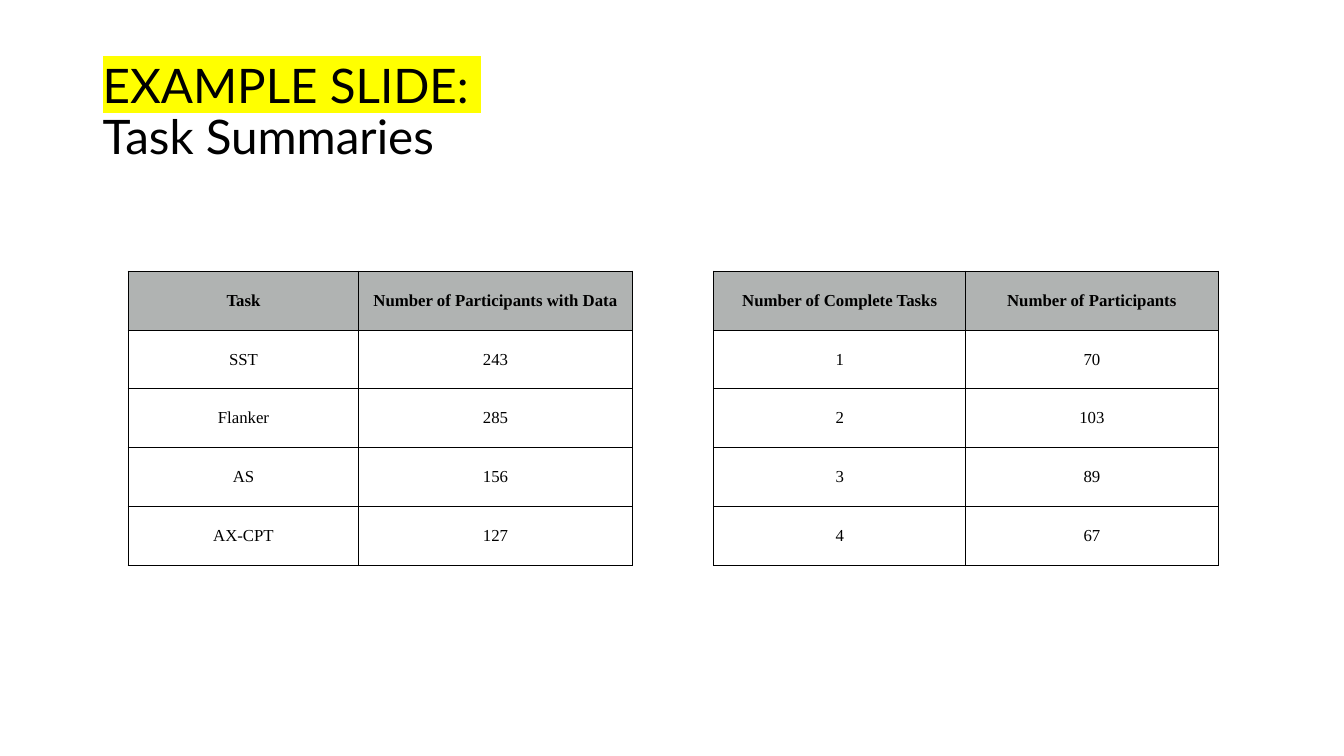
from lxml.etree import SubElement
from pptx import Presentation
from pptx.dml.color import RGBColor
from pptx.enum.text import MSO_ANCHOR, PP_ALIGN
from pptx.oxml.ns import qn
from pptx.util import Inches, Pt

BLACK, GREY, WHITE, YELLOW = "000000", "B0B3B2", "FFFFFF", "FFFF00"
TABLE_TOP, TABLE_WIDTH, TABLE_HEIGHT = 2.69, 5, 2.92

TASK_COUNTS = [
    ("Task", "Number of Participants with Data"),
    ("SST", "243"),
    ("Flanker", "285"),
    ("AS", "156"),
    ("AX-CPT", "127"),
]
COMPLETION_COUNTS = [
    ("Number of Complete Tasks", "Number of Participants"),
    ("1", "70"),
    ("2", "103"),
    ("3", "89"),
    ("4", "67"),
]


def color(hex_value):
    return RGBColor.from_string(hex_value)


def style_font(font, name, size, bold=False):
    font.name = name
    font.size = Pt(size)
    font.bold = bold
    font.color.rgb = color(BLACK)


def highlight(run, hex_value):
    mark = SubElement(run.font._element, qn("a:highlight"))
    SubElement(mark, qn("a:srgbClr")).set("val", hex_value)


def add_title(slide, left, top, width, height):
    frame = slide.shapes.add_textbox(
        Inches(left), Inches(top), Inches(width), Inches(height)).text_frame
    frame.word_wrap = True
    frame.vertical_anchor = MSO_ANCHOR.MIDDLE
    heading = frame.paragraphs[0]
    heading.line_spacing = 0.9
    style_font(heading.font, "Lato", 34)
    label = heading.add_run()
    label.text = "EXAMPLE SLIDE: "
    highlight(label, YELLOW)
    heading.add_line_break()
    heading.add_run().text = "Task Summaries"


def outline_cell(cell):
    """Draw thin black borders; call before the cell is filled."""
    properties = cell._tc.get_or_add_tcPr()
    for side in ("a:lnL", "a:lnR", "a:lnT", "a:lnB"):
        line = SubElement(properties, qn(side), w=str(Pt(0.75)))
        fill = SubElement(line, qn("a:solidFill"))
        SubElement(fill, qn("a:srgbClr")).set("val", BLACK)


def fill_cell(cell, text, is_header):
    outline_cell(cell)
    cell.fill.solid()
    cell.fill.fore_color.rgb = color(GREY if is_header else WHITE)
    cell.margin_left = cell.margin_right = Inches(0.04)
    cell.margin_top = cell.margin_bottom = Inches(0.04)
    cell.vertical_anchor = MSO_ANCHOR.MIDDLE
    cell.text = text
    paragraph = cell.text_frame.paragraphs[0]
    paragraph.alignment = PP_ALIGN.CENTER
    style_font(paragraph.font, "Times New Roman", 12, is_header)


def add_summary_table(slide, left, top, width, height, first_width, rows):
    table = slide.shapes.add_table(
        len(rows), 2, Inches(left), Inches(top), Inches(width), Inches(height)).table
    table.first_row = table.horz_banding = False
    table.columns[0].width = Inches(first_width)
    table.columns[1].width = Inches(width - first_width)
    for row_index, row in enumerate(rows):
        for column_index, text in enumerate(row):
            fill_cell(table.cell(row_index, column_index), text, row_index == 0)


def main():
    deck = Presentation()
    deck.slide_width, deck.slide_height = Inches(13.33), Inches(7.5)
    slide = deck.slides.add_slide(deck.slide_layouts[6])
    add_title(slide, 0.92, 0.4, 11.5, 1.45)
    for left, first_width, rows in ((7.08, 2.5, COMPLETION_COUNTS),
                                    (1.27, 2.29, TASK_COUNTS)):
        add_summary_table(slide, left, TABLE_TOP, TABLE_WIDTH, TABLE_HEIGHT,
                          first_width, rows)
    deck.save("out.pptx")


if __name__ == "__main__":
    main()
